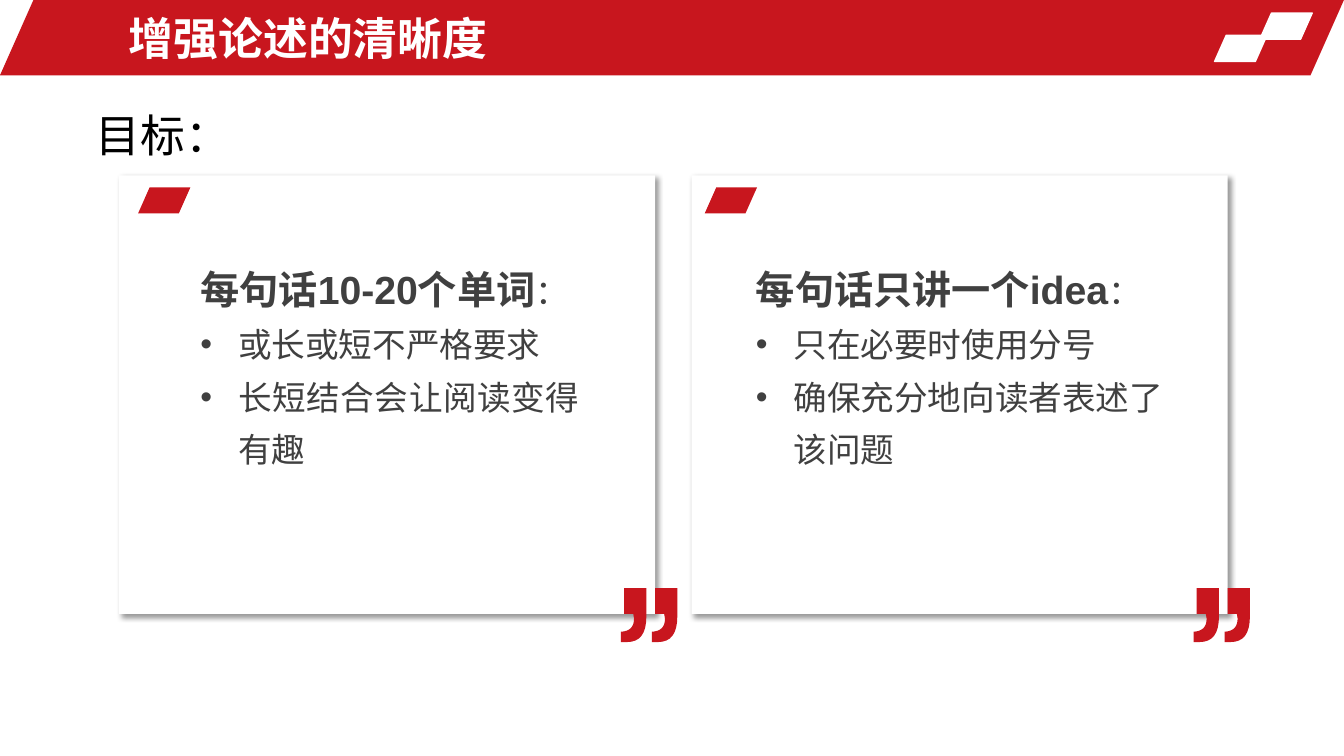
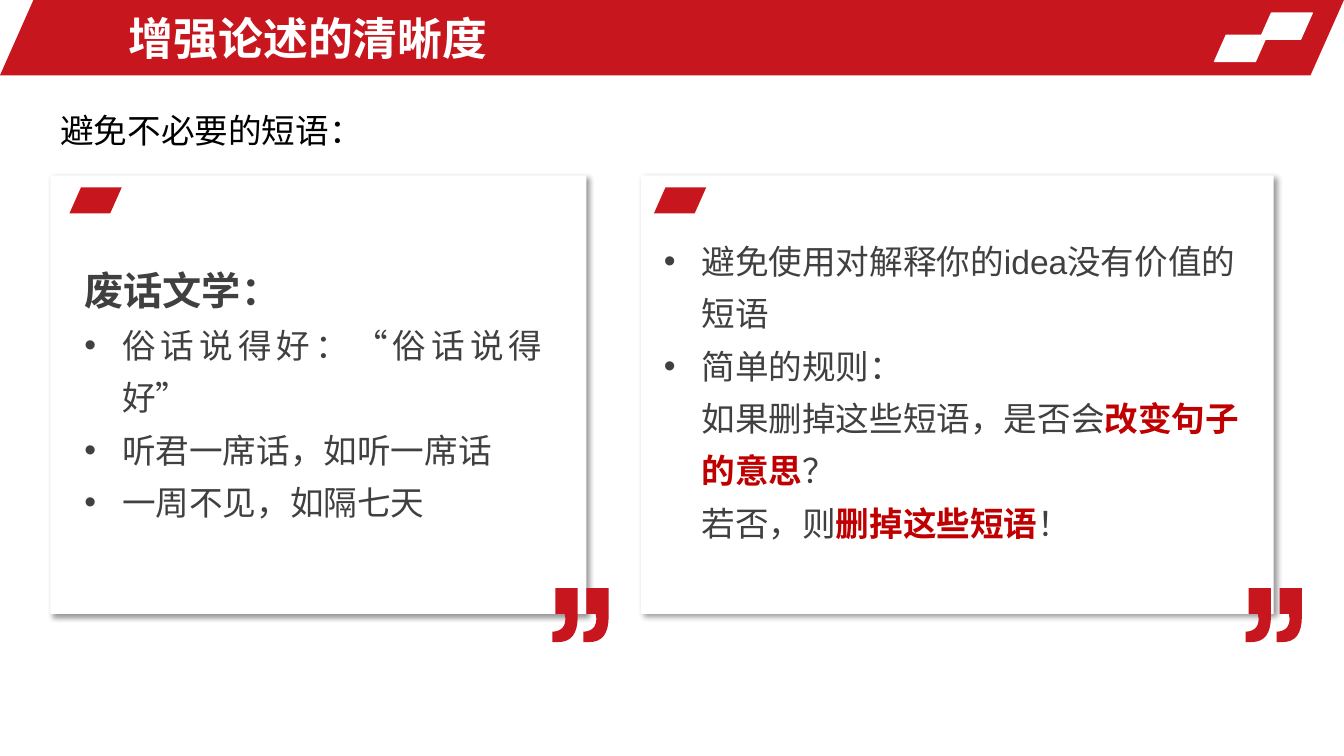
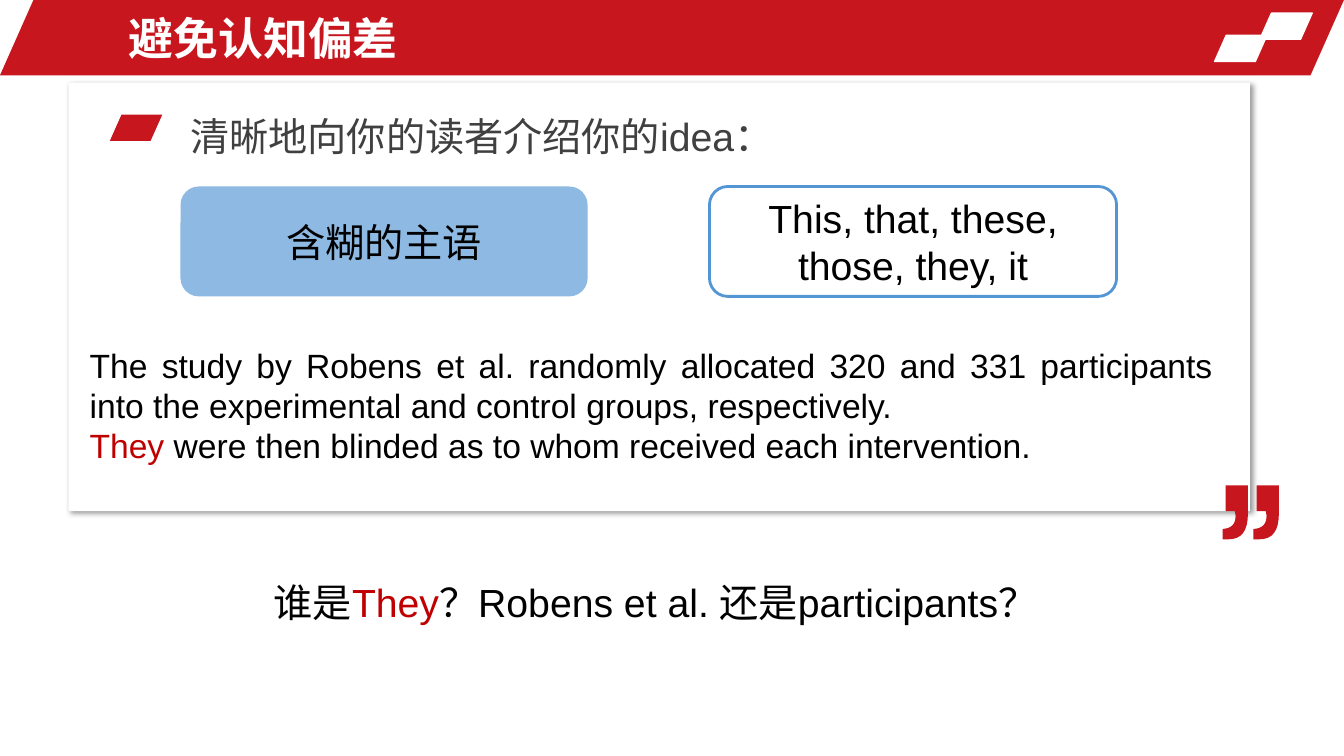
from dataclasses import dataclass
from typing import NamedTuple

from lxml import etree
from pptx import Presentation
from pptx.dml.color import RGBColor
from pptx.enum.lang import MSO_LANGUAGE_ID as Language
from pptx.enum.shapes import MSO_SHAPE as Preset
from pptx.enum.text import MSO_ANCHOR as Anchor, MSO_AUTO_SIZE as AutoSize, PP_ALIGN as Align
from pptx.oxml.ns import qn
from pptx.util import Cm, Pt

COLORS = {
    "red": "C8161E",
    "accent": "C00000",
    "text": "404040",
    "black": "000000",
    "white": "FFFFFF",
    "blue": "8DB9E2",
    "outline": "5495D3",
}
FONT = "Arial"
SLIDE_WIDTH, SLIDE_HEIGHT = 33.87, 19.05
SLANT = 0.444
TAG_WIDTH, TAG_HEIGHT = 1.32, 0.66
BULLET_INDENT = Cm(0.95)
CURVE_STEPS = 8
MARK_GAP = 0.78


class Box(NamedTuple):
    left: float
    top: float
    width: float
    height: float


class Run(NamedTuple):
    text: str
    size: int = 24
    color: str = "text"
    bold: bool = False


@dataclass
class Para:
    runs: list[Run]
    bullet: bool = False
    align: Align = Align.LEFT
    spacing: float | None = 1.3


@dataclass
class Card:
    box: Box
    tag_left: float
    quote_inset: float
    tag_top: float = 0.3


@dataclass
class TextBlock:
    box: Box
    paras: list[Para]
    wrap: bool = True


@dataclass
class Page:
    title: str
    cards: list[Card]
    texts: list[TextBlock]


def color_of(name: str) -> RGBColor:
    return RGBColor.from_string(COLORS[name])


def add_preset(slide, preset: Preset, box: Box, fill: str, line: str | None = None, width: float = 1):
    shape = slide.shapes.add_shape(preset, *map(Cm, box))
    shape.shadow.inherit = False
    shape.fill.solid()
    shape.fill.fore_color.rgb = color_of(fill)
    if line:
        shape.line.color.rgb = color_of(line)
        shape.line.width = Pt(width)
    else:
        shape.line.fill.background()
    return shape


def add_slanted(slide, box: Box, fill: str, line: str | None = None) -> None:
    shape = add_preset(slide, Preset.PARALLELOGRAM, box, fill, line)
    shape.adjustments[0] = SLANT


def set_bullet(paragraph) -> None:
    properties = paragraph._p.get_or_add_pPr()
    properties.set("marL", str(BULLET_INDENT))
    properties.set("indent", str(-BULLET_INDENT))
    etree.SubElement(properties, qn("a:buFont"), typeface=FONT)
    etree.SubElement(properties, qn("a:buChar"), char="•")


def add_run(paragraph, part: Run) -> None:
    for index, line in enumerate(part.text.split("\n")):
        if index:
            paragraph.add_line_break()
        run = paragraph.add_run()
        run.text = line
        run.font.name = FONT
        run.font.size = Pt(part.size)
        run.font.bold = part.bold
        run.font.color.rgb = color_of(part.color)
        run.font.language_id = Language.SIMPLIFIED_CHINESE


def fill_text(frame, paras: list[Para]) -> None:
    for index, para in enumerate(paras):
        paragraph = frame.add_paragraph() if index else frame.paragraphs[0]
        if para.bullet:
            set_bullet(paragraph)
        paragraph.alignment = para.align
        if para.spacing:
            paragraph.line_spacing = para.spacing
        for part in para.runs:
            add_run(paragraph, part)


def add_text(slide, block: TextBlock):
    frame = slide.shapes.add_textbox(*map(Cm, block.box)).text_frame
    frame.word_wrap = block.wrap
    frame.auto_size = AutoSize.SHAPE_TO_FIT_TEXT
    fill_text(frame, block.paras)
    return frame


def curve(*controls: tuple[float, float]) -> list[tuple[float, float]]:
    points = []
    for step in range(1, CURVE_STEPS + 1):
        t = step / CURVE_STEPS
        weights = ((1 - t) ** 3, 3 * t * (1 - t) ** 2, 3 * t * t * (1 - t), t ** 3)
        points.append(tuple(sum(w * c[axis] for w, c in zip(weights, controls)) for axis in (0, 1)))
    return points


MARK_OUTLINE = [
    (0.64, 0), (0.64, 0.71),
    *curve((0.64, 0.71), (0.64, 1.15), (0.48, 1.36), (0.15, 1.36)),
    (0, 1.36), (0, 1.1),
    *curve((0, 1.1), (0.22, 1.09), (0.33, 0.98), (0.33, 0.77)),
    (0.31, 0.65), (0.08, 0.65), (0.08, 0),
]


def add_quote(slide, left: float, top: float) -> None:
    builder = None
    for offset in (0, MARK_GAP):
        points = [(Cm(left + offset + x), Cm(top + y)) for x, y in MARK_OUTLINE]
        if builder is None:
            builder = slide.shapes.build_freeform(*points[0])
        else:
            builder.move_to(*points[0])
        builder.add_line_segments(points[1:], close=True)
    shape = builder.convert_to_shape()
    shape.shadow.inherit = False
    shape.fill.solid()
    shape.fill.fore_color.rgb = color_of("red")
    shape.line.fill.background()


def add_card_shadow(shape) -> None:
    effects = shape._element.spPr.find(qn("a:effectLst"))
    shadow = etree.SubElement(
        effects, qn("a:outerShdw"), blurRad=str(Pt(4)), dist=str(Pt(3)),
        dir="2700000", algn="tl", rotWithShape="0",
    )
    tint = etree.SubElement(shadow, qn("a:srgbClr"), val=COLORS["black"])
    etree.SubElement(tint, qn("a:alpha"), val="40000")


def add_card(slide, card: Card) -> None:
    box = card.box
    add_card_shadow(add_preset(slide, Preset.RECTANGLE, box, "white"))
    add_slanted(slide, Box(box.left + card.tag_left, box.top + card.tag_top, TAG_WIDTH, TAG_HEIGHT), "red")
    add_quote(slide, box.left + box.width - card.quote_inset, box.top + box.height - 0.65)


def add_button(slide, left: float, label: str, fill: str, line: str | None = None) -> None:
    shape = add_preset(slide, Preset.ROUNDED_RECTANGLE, Box(left, 4.7, 10.26, 2.77), fill, line, 2)
    frame = shape.text_frame
    frame.word_wrap = True
    frame.vertical_anchor = Anchor.MIDDLE
    fill_text(frame, [Para([Run(label, 28, "black")], align=Align.CENTER, spacing=None)])


def add_page(presentation, page: Page):
    slide = presentation.slides.add_slide(presentation.slide_layouts[6])
    add_slanted(slide, Box(0, 0, SLIDE_WIDTH, 1.9), "red")
    for left, top in ((31.75, 0.33), (30.61, 0.89)):
        add_slanted(slide, Box(left, top, TAG_WIDTH, TAG_HEIGHT), "white", "white")
    title = Para([Run(page.title, 32, "white", True)], spacing=None)
    frame = add_text(slide, TextBlock(Box(3, 0.13, 19.66, 1.65), [title]))
    frame.auto_size = AutoSize.NONE
    frame.vertical_anchor = Anchor.MIDDLE
    for card in page.cards:
        add_card(slide, card)
    for block in page.texts:
        add_text(slide, block)
    return slide


def bullet(*runs: Run, align: Align = Align.LEFT) -> Para:
    return Para(list(runs), True, align)


def plain(*runs: Run, align: Align = Align.LEFT) -> Para:
    return Para(list(runs), align=align, spacing=None)


CARD_TOP, CARD_WIDTH, CARD_HEIGHT = 4.42, 13.51, 11.05
CLARITY = "增强论述的清晰度"

GOALS = Page(
    CLARITY,
    [
        Card(Box(3, CARD_TOP, CARD_WIDTH, CARD_HEIGHT), 0.48, 0.86),
        Card(Box(17.43, CARD_TOP, CARD_WIDTH, CARD_HEIGHT), 0.33, 0.86),
    ],
    [
        TextBlock(Box(4.8, 6.2, 10.06, 5.66), [
            Para([Run("每句话10-20个单词", 28, bold=True), Run("：")]),
            bullet(Run("或长或短不严格要求")),
            bullet(Run("长短结合会让阅读变得有趣"), align=Align.JUSTIFY),
        ]),
        TextBlock(Box(18.8, 6.2, 10.82, 5.66), [
            Para([Run("每句话只讲一个idea", 28, bold=True), Run("：")]),
            bullet(Run("只在必要时使用分号")),
            bullet(Run("确保充分地向读者表述了该问题")),
        ]),
        TextBlock(Box(2.16, 2.59, 3.94, 1.63), [plain(Run("目标：", 32, "black"))], False),
    ],
)

PHRASES = Page(
    CLARITY,
    [
        Card(Box(1.27, CARD_TOP, CARD_WIDTH, CARD_HEIGHT), 0.48, 0.86),
        Card(Box(16.15, CARD_TOP, 15.95, CARD_HEIGHT), 0.33, 0.71),
    ],
    [
        TextBlock(Box(1.88, 6.22, 12.04, 5.66), [
            Para([Run("废话文学：", 28, bold=True)], align=Align.JUSTIFY),
            *(bullet(Run(text), align=Align.JUSTIFY) for text in (
                "俗话说得好：“俗话说得好”", "听君一席话，如听一席话", "一周不见，如隔七天",
            )),
        ]),
        TextBlock(Box(16.48, 5.64, 15.7, 8.13), [
            bullet(Run("避免使用对解释你的idea没有价值的短语")),
            bullet(
                Run("简单的规则：\n如果删掉这些短语，是否会"),
                Run("改变句子的意思", color="accent", bold=True),
                Run("？\n若否，则"),
                Run("删掉这些短语", color="accent", bold=True),
                Run("！"),
            ),
        ]),
        TextBlock(Box(1.27, 2.64, 8.2, 1.27), [plain(Run("避免不必要的短语：", color="black"))], False),
    ],
)

BIAS = Page(
    "避免认知偏差",
    [Card(Box(1.73, 2.08, 29.77, 10.8), 1.04, 0.69, 0.81)],
    [
        TextBlock(Box(4.55, 2.34, 26.57, 1.65), [Para([Run("清晰地向你的读者介绍你的idea：", 28)])]),
        TextBlock(Box(2.01, 8.56, 28.8, 3.33), [
            plain(
                Run("The study by Robens et al. randomly allocated 320 and 331 participants into "
                    "the experimental and control groups, respectively.", color="black"),
                align=Align.JUSTIFY,
            ),
            plain(
                Run("They", color="accent"),
                Run(" were then blinded as to whom received each intervention.", color="black"),
                align=Align.JUSTIFY,
            ),
        ]),
        TextBlock(Box(6.65, 14.45, 19.99, 1.45), [plain(
            Run("谁是", 28, "black"),
            Run("They", 28, "accent"),
            Run("？Robens et al. 还是participants？", 28, "black"),
        )]),
    ],
)


def main() -> None:
    presentation = Presentation()
    presentation.slide_width = Cm(SLIDE_WIDTH)
    presentation.slide_height = Cm(SLIDE_HEIGHT)
    for page in (GOALS, PHRASES):
        add_page(presentation, page)
    bias_slide = add_page(presentation, BIAS)
    add_button(bias_slide, 4.55, "含糊的主语", "blue")
    add_button(bias_slide, 17.88, "This, that, these, those, they, it", "white", "outline")
    presentation.save("out.pptx")


if __name__ == "__main__":
    main()
